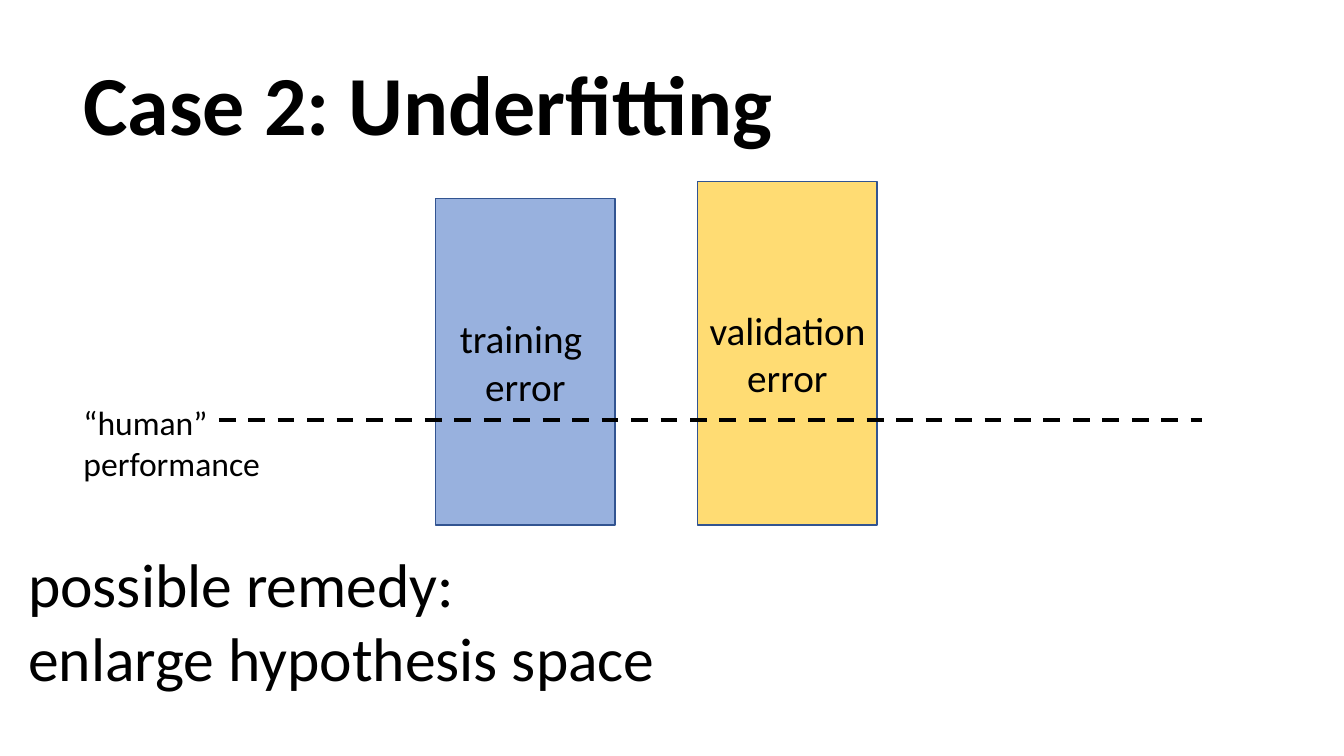
from lxml import etree
from pptx import Presentation
from pptx import util as u
from pptx.dml.color import RGBColor
from pptx.enum import dml, shapes, text
from pptx.oxml import ns

COLORS = {"ink": "000000", "outline": "325491",
          "training": "4472C4", "validation": "FFC000"}
BAR_WIDTH, BASELINE = 1.78, 5.21
BAR_OPACITY = 55


def write(frame, lines, size, align=text.PP_ALIGN.LEFT, bold=False):
    frame.text = "\n".join(lines)
    for paragraph in frame.paragraphs:
        paragraph.alignment = align
        font = paragraph.runs[0].font
        font.name, font.size, font.bold = "Calibri", u.Pt(size), bold
        font.color.rgb = RGBColor.from_string(COLORS["ink"])


def add_label(left, top, width, height, lines, size, wrap=False, bold=False):
    box = slide.shapes.add_textbox(*map(u.Inches, (left, top, width, height)))
    box.text_frame.word_wrap = wrap
    write(box.text_frame, lines, size, bold=bold)
    return box.text_frame


deck = Presentation()
deck.slide_width, deck.slide_height = u.Inches(13.33), u.Inches(7.5)
slide = deck.slides.add_slide(deck.slide_layouts[6])

# Title
title = add_label(0.73, 0.35, 12.15, 1.45, ["Case 2: Underfitting"], 60,
                  wrap=True, bold=True)
title.vertical_anchor = text.MSO_ANCHOR.MIDDLE
title.paragraphs[0].line_spacing = 0.9

# Error bars standing on a common baseline
for kind, left, height in [("training", 4.32, 3.24), ("validation", 6.92, 3.41)]:
    bar = slide.shapes.add_shape(
        shapes.MSO_SHAPE.RECTANGLE, u.Inches(left), u.Inches(BASELINE - height),
        u.Inches(BAR_WIDTH), u.Inches(height))
    bar.shadow.inherit = False
    bar.fill.solid()
    bar.fill.fore_color.rgb = RGBColor.from_string(COLORS[kind])
    tint = bar.fill._xPr.find(".//" + ns.qn("a:srgbClr"))
    etree.SubElement(tint, ns.qn("a:alpha"), val=str(BAR_OPACITY * 1000))
    bar.line.color.rgb = RGBColor.from_string(COLORS["outline"])
    bar.line.width = u.Pt(1)
    bar.text_frame.vertical_anchor = text.MSO_ANCHOR.MIDDLE
    write(bar.text_frame, [kind + " ", "error"], 28, text.PP_ALIGN.CENTER)

# Human performance level
level = slide.shapes.add_connector(
    shapes.MSO_CONNECTOR.STRAIGHT, *map(u.Inches, (2.17, 4.17, 11.92, 4.17)))
level.line.color.rgb = RGBColor.from_string(COLORS["ink"])
level.line.width = u.Pt(3)
level.line.dash_style = dml.MSO_LINE.DASH
etree.SubElement(level._element.spPr, ns.qn("a:effectLst"))
add_label(0.73, 3.94, 1.97, 0.91, ["“human”", "performance"], 24)

# Remedy
add_label(0.18, 5.37, 6.49, 1.58,
          ["possible remedy:", "enlarge hypothesis space"], 44)

deck.save("out.pptx")
